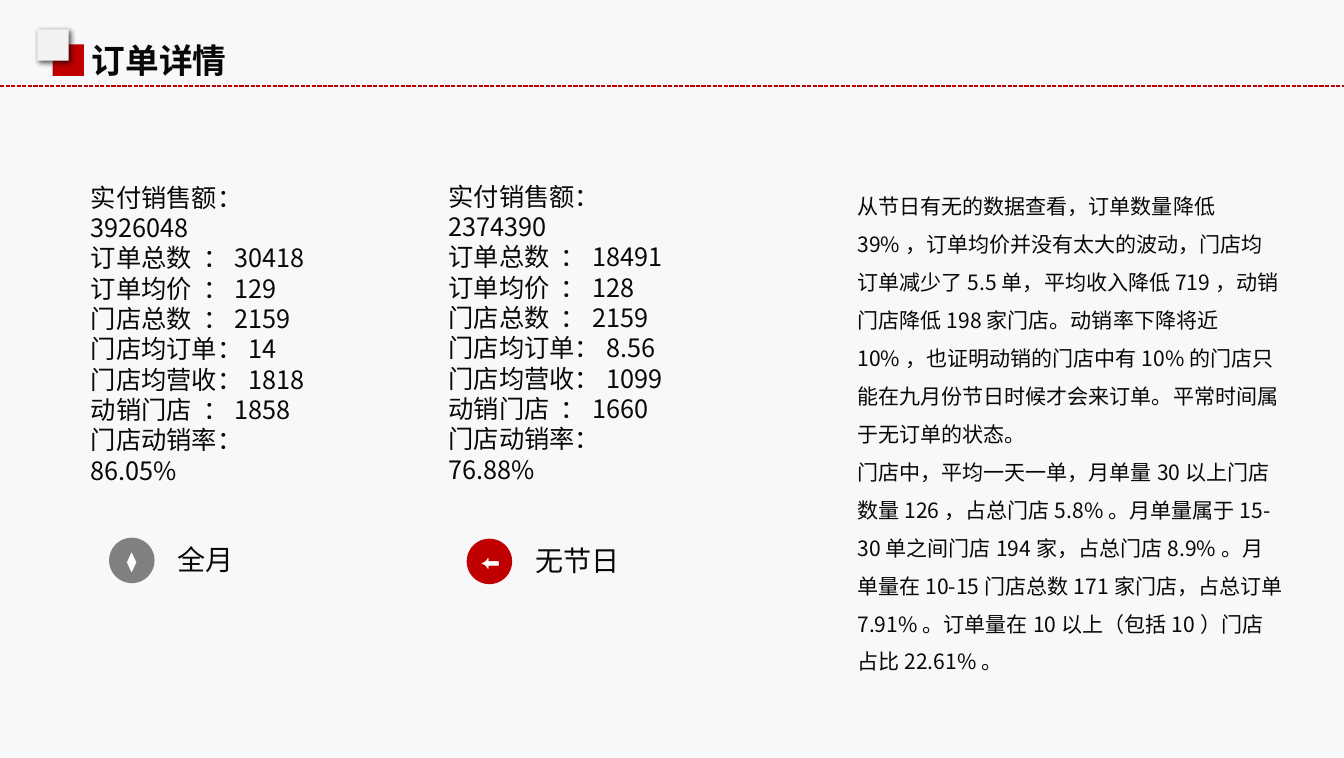
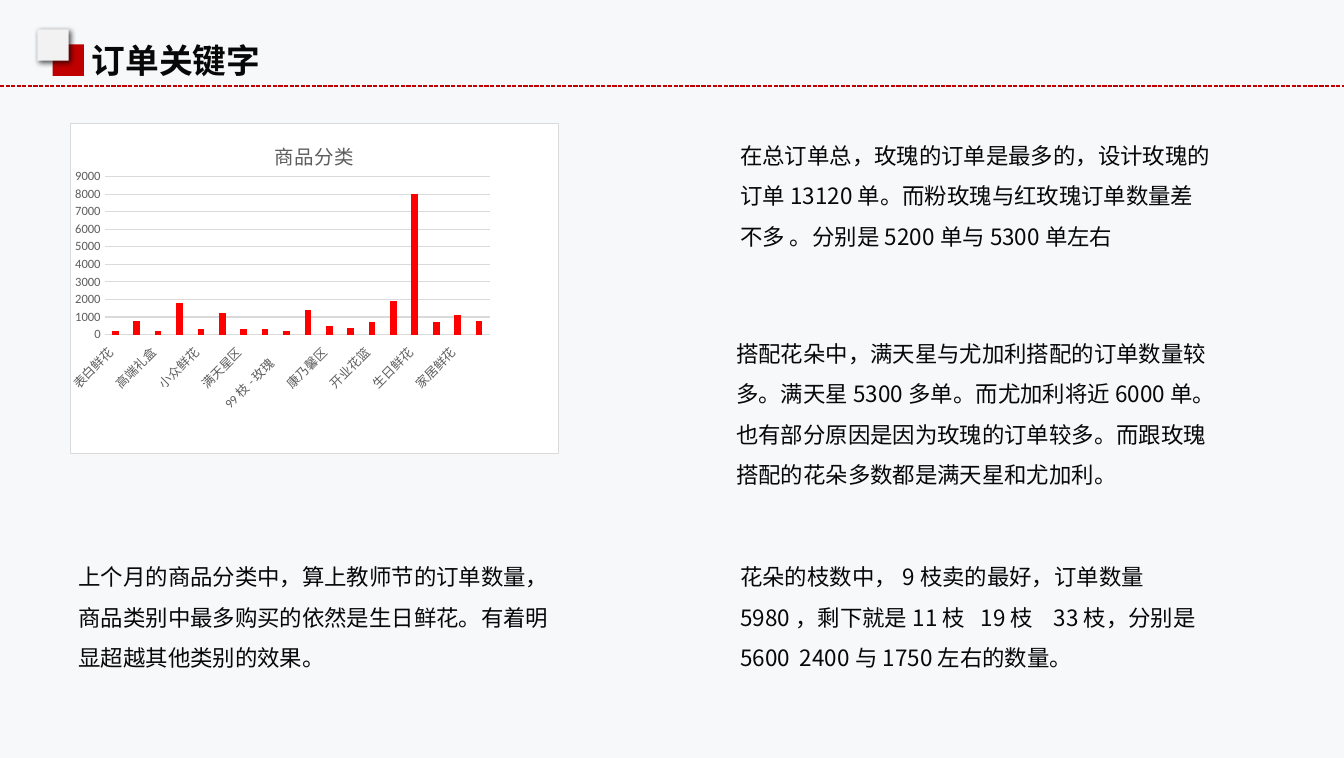
from lxml import etree
from pptx import Presentation
from pptx.chart.data import CategoryChartData
from pptx.dml.color import RGBColor
from pptx.enum.chart import XL_CHART_TYPE, XL_TICK_MARK
from pptx.enum.shapes import MSO_CONNECTOR, MSO_SHAPE
from pptx.enum.text import MSO_ANCHOR, MSO_AUTO_SIZE, PP_ALIGN
from pptx.oxml import parse_xml
from pptx.oxml.ns import nsdecls, qn
from pptx.util import Emu, Pt

PX = 9144  # 100 px to the inch
W, H = 1330.55, 750

BACK = RGBColor(0xF7, 0xF8, 0xFA)
INK = RGBColor(0x08, 0x08, 0x08)
RED = RGBColor(0xC0, 0x00, 0x00)
BAR = RGBColor(0xFF, 0x00, 0x00)
PALE = RGBColor(0xF2, 0xF2, 0xF2)
GRAY = RGBColor(0x80, 0x80, 0x80)
AXIS = RGBColor(0x5E, 0x5E, 0x5E)
GRID = RGBColor(0xDA, 0xDA, 0xDA)
WHITE = RGBColor(0xFF, 0xFF, 0xFF)

CJK, LATIN = "Noto Sans CJK SC", "Calibri"
RECT, OVAL = MSO_SHAPE.RECTANGLE, MSO_SHAPE.OVAL
LEFT, CENTER = PP_ALIGN.LEFT, PP_ALIGN.CENTER
TOP, MIDDLE = MSO_ANCHOR.TOP, MSO_ANCHOR.MIDDLE
NO_TICK = XL_TICK_MARK.NONE

METRICS = ["实付销售额：", "订单总数  ：", "订单均价  ：", "门店总数  ：",
           "门店均订单：", "门店均营收：", "动销门店  ：", "门店动销率："]
PERIODS = [  # left, top, values, label, label top, icon, icon colour
    (80, 175, ["3926048", "30418", "129", "2159", "14", "1818", "1858", "86.05%"],
     "全月", 532, "⧫", GRAY),
    (434, 174, ["2374390", "18491", "128", "2159", "8.56", "1099", "1660", "76.88%"],
     "无节日", 533, "⬅", RED),
]
FINDINGS = [
    ((839, 174, 441, 237),
     "从节日有无的数据查看，订单数量降低39%，订单均价并没有太大的波动，门店均订单减少了5.5单，"
     "平均收入降低719，动销门店降低198家门店。动销率下降将近10%，也证明动销的门店中有10%的门店"
     "只能在九月份节日时候才会来订单。平常时间属于无订单的状态。"),
    ((839, 437, 441, 199),
     "门店中，平均一天一单，月单量30以上门店数量126，占总门店5.8%。月单量属于15-30单之间门店194家，"
     "占总门店8.9%。月单量在10-15门店总数171家门店，占总订单7.91%。"
     "订单量在10以上（包括10）门店占比22.61%。"),
]
SALES = {
    "表白鲜花": 200, "邂逅推荐": 800, "高端礼盒": 200, "教师节-鲜花预定": 1800,
    "小众鲜花": 300, "33枝-玫瑰": 1200, "满天星区": 300, "52枝-玫瑰": 300,
    "99枝-玫瑰": 200, "19枝-玫瑰": 1400, "康乃馨区": 500, "活动专区": 400,
    "开业花篮": 700, "11枝-玫瑰": 1900, "生日鲜花": 8000, "生日祝福": 700,
    "家居鲜花": 1100, "节日折扣": 800,
}
KEYWORD_NOTES = [
    ((68, 539, 485, 131),
     "上个月的商品分类中，算上教师节的订单数量，商品类别中最多购买的依然是生日鲜花。"
     "有着明显超越其他类别的效果。"),
    ((723, 122, 485, 131),
     "在总订单总，玫瑰的订单是最多的，设计玫瑰的订单13120单。"
     "而粉玫瑰与红玫瑰订单数量差不多 。分别是5200单与5300单左右"),
    ((719, 318, 485, 172),
     "搭配花朵中，满天星与尤加利搭配的订单数量较多。满天星5300多单。而尤加利将近6000单。"
     "也有部分原因是因为玫瑰的订单较多。而跟玫瑰搭配的花朵多数都是满天星和尤加利。"),
    ((723, 539, 485, 131),
     "花朵的枝数中，9枝卖的最好，订单数量5980，剩下就是11枝  19枝   33枝，"
     "分别是5600  2400与1750左右的数量。"),
]


def px(*lengths):
    return [Emu(round(n * PX)) for n in lengths]


def place(sp, *box):
    sp.left, sp.top, sp.width, sp.height = px(*box)


def write(sp, text, size, font=CJK, color=INK, bold=False, align=LEFT,
          anchor=TOP, wrap=True, leading=None, insets=(10, 5, 10, 5)):
    """Fill a shape; text is a string or a list of paragraphs, leading is in lines."""
    tf = sp.text_frame
    tf.auto_size, tf.word_wrap, tf.vertical_anchor = MSO_AUTO_SIZE.NONE, wrap, anchor
    tf.margin_left, tf.margin_top, tf.margin_right, tf.margin_bottom = px(*insets)
    lines = [text] if isinstance(text, str) else text
    for i, line in enumerate(lines):
        p = tf.add_paragraph() if i else tf.paragraphs[0]
        p.alignment = align
        p.space_before = p.space_after = Pt(0)
        if leading:
            p.line_spacing = Pt(size * 1.2 * leading)
        pPr = p._p.get_or_add_pPr()
        pPr.set("marL", "0")
        pPr.set("indent", "0")
        etree.SubElement(pPr, qn("a:buNone"))
        r = p.add_run()
        r.text = line
        f = r.font
        f.size, f.name, f.bold, f.color.rgb = Pt(size), font, bold, color
        if font == CJK:
            ea = etree.SubElement(r._r.get_or_add_rPr(), qn("a:ea"))
            ea.set("typeface", font)


def add_text(s, box, text, size, **fmt):
    write(s.shapes.add_textbox(*px(*box)), text, size, **fmt)


def add_shape(s, kind, box, color):
    sp = s.shapes.add_shape(kind, *px(*box))
    sp.shadow.inherit = False
    sp.fill.solid()
    sp.fill.fore_color.rgb = color
    sp.line.fill.background()
    return sp


def add_slide(prs, layout, title):
    """Add a slide with the shared title, paired squares and dashed rule."""
    s = prs.slides.add_slide(prs.slide_layouts[layout])
    place(s.shapes.title, 81, 35, 33 * len(title) + 22, 50)
    write(s.shapes.title, title, 24, bold=True, wrap=False, leading=1,
          insets=(10, 4, 10, 5))

    add_shape(s, RECT, (52, 44, 31, 31), RED)
    front = add_shape(s, RECT, (37, 29, 31, 31), PALE)
    front._element.spPr.find(qn("a:effectLst")).append(parse_xml(
        f'<a:outerShdw {nsdecls("a")} blurRad="50800" dist="25400" dir="2700000" '
        f'algn="tl" rotWithShape="0"><a:srgbClr val="{INK}">'
        '<a:alpha val="68000"/></a:srgbClr></a:outerShdw>'))

    rule = s.shapes.add_connector(MSO_CONNECTOR.STRAIGHT, *px(0, 85, W, 85))
    rule._element.remove(rule._element.find(qn("p:style")))
    spPr = rule._element.spPr
    spPr.append(parse_xml(
        f'<a:ln {nsdecls("a")} w="12700"><a:solidFill><a:srgbClr val="{RED}"/>'
        '</a:solidFill><a:prstDash val="sysDash"/></a:ln>'))
    etree.SubElement(spPr, qn("a:effectLst"))
    return s


def style_font(font, size, color):
    font.name, font.size, font.bold, font.color.rgb = LATIN, Pt(size), False, color


def style_line(line):
    line.color.rgb = GRID
    line.width = Pt(0.75)


def add_sales_chart(s, box):
    data = CategoryChartData()
    data.categories = [name + "\t" for name in SALES]
    data.add_series("Series 1", SALES.values())
    chart = s.shapes.add_chart(XL_CHART_TYPE.COLUMN_CLUSTERED, *px(*box), data).chart
    style_font(chart.font, 10, INK)
    chart.has_legend = False
    chart.has_title = True
    tf = chart.chart_title.text_frame
    tf.text = "商品分类"
    style_font(tf.paragraphs[0].runs[0].font, 14, AXIS)

    plot = chart.plots[0]
    plot.gap_width, plot.overlap, plot.vary_by_categories = 219, -27, False
    fill = plot.series[0].format.fill
    fill.solid()
    fill.fore_color.rgb = BAR

    cat, val = chart.category_axis, chart.value_axis
    for axis in (cat, val):
        axis.major_tick_mark = axis.minor_tick_mark = NO_TICK
        style_font(axis.tick_labels.font, 9, AXIS)
        bodyPr = axis._element.find(qn("c:txPr")).find(qn("a:bodyPr"))
        bodyPr.set("rot", "-60000000")
        bodyPr.set("vert", "horz")
    style_line(cat.format.line)
    val.format.line.fill.background()
    val.has_major_gridlines = True
    style_line(val.major_gridlines.format.line)
    val.minimum_scale, val.maximum_scale, val.major_unit = 0, 9000, 1000

    area = chart._chartSpace.chart.plotArea
    for old in area.findall(qn("c:layout")):
        area.remove(old)
    spots = "".join(f'<c:{k} val="{v}"/>' for k, v in (
        ("layoutTarget", "inner"), ("xMode", "edge"), ("yMode", "edge"),
        ("x", 0.07), ("y", 0.16), ("w", 0.79), ("h", 0.48)))
    area.insert(0, parse_xml(f'<c:layout {nsdecls("c")}><c:manualLayout>{spots}'
                             '</c:manualLayout></c:layout>'))
    chart._chartSpace.chart.addnext(parse_xml(
        f'<c:spPr {nsdecls("c", "a")}><a:solidFill><a:srgbClr val="{WHITE}"/></a:solidFill>'
        f'<a:ln w="9525"><a:solidFill><a:srgbClr val="{GRID}"/></a:solidFill></a:ln></c:spPr>'))


def build_details(prs):
    s = add_slide(prs, 3, "订单详情")
    bodies = [ph for ph in s.placeholders if ph.placeholder_format.idx in (1, 2)]
    for body, (x, y, values, label, top, icon, color) in zip(bodies, PERIODS):
        place(body, x, y, 258, 252)
        write(body, [m + v for m, v in zip(METRICS, values)], 18, leading=1,
              insets=(10, 5, 33, 5))
        badge = add_shape(s, OVAL, (x + 28, top, 45, 45), color)
        write(badge, icon, 14, font=LATIN, color=WHITE, align=CENTER, anchor=MIDDLE,
              insets=(7, 4, 7, 4))
        add_text(s, (x + 86, top, 27 * len(label) + 22, 44), label, 20,
                 font=LATIN, wrap=False)
    for box, text in FINDINGS:
        add_text(s, box, text, 15, leading=1.5)


def build_keywords(prs):
    s = add_slide(prs, 5, "订单关键字")
    add_sales_chart(s, (68, 122, 485, 327))
    for box, text in KEYWORD_NOTES:
        add_text(s, box, text, 16, leading=1.5, insets=(10, 5, 7, 5))


def main():
    prs = Presentation()
    prs.slide_width, prs.slide_height = px(W, H)
    back = prs.slide_master.background.fill
    back.solid()
    back.fore_color.rgb = BACK
    build_details(prs)
    build_keywords(prs)
    prs.save("out.pptx")


if __name__ == "__main__":
    main()
